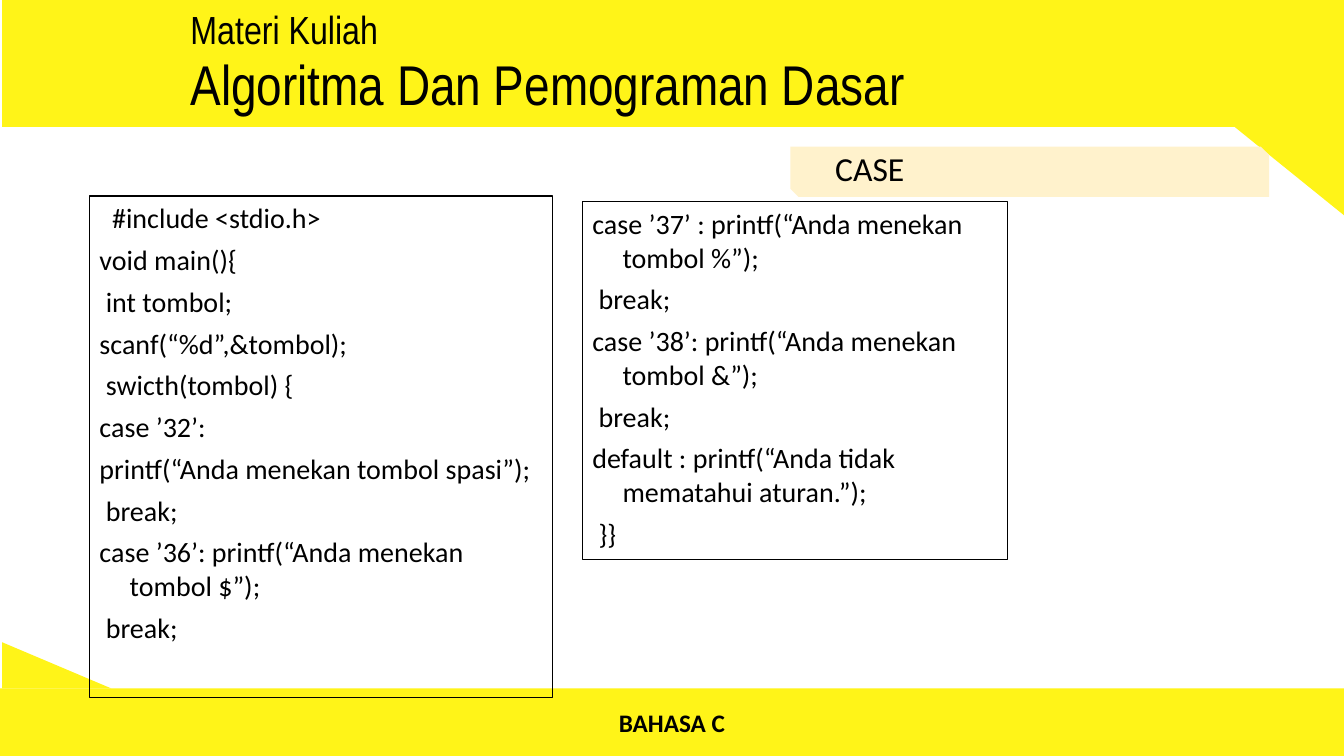
import pptx
import pptx.util
import pptx.dml.color
import pptx.enum.shapes
import pptx.enum.text
from dataclasses import dataclass

Pt = pptx.util.Pt
SHAPE = pptx.enum.shapes.MSO_SHAPE
ALIGN = pptx.enum.text.PP_ALIGN
ANCHOR = pptx.enum.text.MSO_ANCHOR


@dataclass(frozen=True)
class Theme:
    """Colours, fonts and type sizes of the slide."""
    yellow: str = "FFF418"
    cream: str = "FFF2CC"
    ink: str = "000000"
    heading_font: str = "Arial Narrow"
    body_font: str = "Calibri"
    title_size: float = 40
    course_size: float = 28
    topic_size: float = 24
    code_size: float = 20
    footer_size: float = 18


THEME = Theme()
WIDTH, HEIGHT = 960, 540
EDGE = 1.5

FIRST_CODE = [
    "\u00a0 #include <stdio.h> ",
    "void main(){",
    " int tombol; ",
    "scanf(“%d”,&tombol);",
    "\u00a0swicth(tombol) { ",
    "case ’32’:",
    "printf(“Anda menekan tombol spasi”);",
    "\u00a0break; ",
    "case ’36’: printf(“Anda menekan tombol $”);",
    "\u00a0break; ",
]
SECOND_CODE = [
    "case ’37’ : printf(“Anda menekan tombol %”);",
    "\u00a0break; ",
    "case ’38’: printf(“Anda menekan tombol &”);",
    "\u00a0break; ",
    "default : printf(“Anda tidak mematahui aturan.”);",
    "\u00a0}}",
]


def rgb(code):
    """Turn a hex code into a colour."""
    return pptx.dml.color.RGBColor.from_string(code)


def write(holder, lines, size, font=THEME.body_font, bold=False,
          align=ALIGN.LEFT, anchor=ANCHOR.TOP, wrap=True, before=0, hanging=0):
    """Fill a shape with one formatted paragraph per line."""
    frame = holder.text_frame
    frame.auto_size = pptx.enum.text.MSO_AUTO_SIZE.NONE
    frame.word_wrap = wrap
    frame.vertical_anchor = anchor
    frame.margin_left = frame.margin_right = Pt(7.2)
    frame.margin_top = frame.margin_bottom = Pt(3.6)
    for index, line in enumerate(lines):
        paragraph = frame.paragraphs[0] if index == 0 else frame.add_paragraph()
        paragraph.alignment = align
        paragraph.space_before = Pt(before)
        if hanging:
            properties = paragraph._p.get_or_add_pPr()
            properties.set("marL", str(Pt(hanging)))
            properties.set("indent", str(-Pt(hanging)))
        run = paragraph.add_run()
        run.text = line
        run.font.name, run.font.size, run.font.bold = font, Pt(size), bold
        run.font.color.rgb = rgb(THEME.ink)


def place(part, box):
    """Move a part to a box given as left, top, width, height."""
    part.left, part.top, part.width, part.height = map(Pt, box)


def add_panel(slide, kind, box, fill=None, line=None):
    """Add a flat preset shape."""
    panel = slide.shapes.add_shape(kind, *map(Pt, box))
    panel.shadow.inherit = False
    if fill:
        panel.fill.solid()
        panel.fill.fore_color.rgb = rgb(fill)
    else:
        panel.fill.background()
    if line:
        panel.line.color.rgb = rgb(line)
        panel.line.width = Pt(0.75)
    else:
        panel.line.fill.background()
    return panel


def add_wedge(slide, box, rotation=0):
    """Add a yellow right-angled corner."""
    wedge = add_panel(slide, SHAPE.ISOSCELES_TRIANGLE, box, THEME.yellow)
    wedge.adjustments[0] = 0
    wedge.rotation = rotation


def add_header(slide, box):
    """Draw the top band with its corner, course line and title."""
    left, top, width, height = box
    add_panel(slide, SHAPE.RECTANGLE, box, THEME.yellow)
    corner = 78
    add_wedge(slide, (left + width - corner, top + height, corner, 63), 180)

    text_left = left + 127.5
    course = slide.shapes.add_textbox(*map(Pt, (text_left, top, 169, 41)))
    write(course, ["Materi Kuliah"], THEME.course_size,
          font=THEME.heading_font, wrap=False)

    title = slide.shapes.title
    place(title, (text_left, top + 32, 630, 55.5))
    write(title, ["Algoritma Dan Pemograman Dasar"], THEME.title_size,
          font=THEME.heading_font)
    slide.shapes._spTree.append(title._element)


def add_footer(slide, box):
    """Draw the bottom band with its corner and label."""
    left, top, width, height = box
    band = add_panel(slide, SHAPE.RECTANGLE, box, THEME.yellow)
    write(band, ["BAHASA C"], THEME.footer_size, bold=True,
          align=ALIGN.CENTER, anchor=ANCHOR.MIDDLE)
    add_wedge(slide, (left + EDGE, top - 33, 78, 33))


def add_topic(slide, box):
    """Draw the snipped topic tag and its label."""
    left, top, width, height = box
    add_panel(slide, SHAPE.SNIP_2_DIAG_RECTANGLE, box, THEME.cream)
    topic = slide.shapes.add_textbox(*map(Pt, (left + 25, top - 3, 70, height)))
    write(topic, ["CASE "], THEME.topic_size, wrap=False)


def add_code(slide, box, lines):
    """Draw an outlined code listing with hanging indents."""
    listing = add_panel(slide, SHAPE.RECTANGLE, box, line=THEME.ink)
    write(listing, lines, THEME.code_size, before=5.8, hanging=21.6)


def main():
    """Build and save the slide."""
    deck = pptx.Presentation()
    deck.slide_width, deck.slide_height = Pt(WIDTH), Pt(HEIGHT)
    slide = deck.slides.add_slide(deck.slide_layouts[5])
    add_header(slide, (EDGE, 0, WIDTH - EDGE, 90.75))
    add_footer(slide, (0, 491.75, WIDTH, 48.25))
    add_topic(slide, (564.5, 104.75, 342, 36))
    add_code(slide, (64, 140, 330.75, 358.5), FIRST_CODE)
    add_code(slide, (416, 144, 303.75, 255.5), SECOND_CODE)
    deck.save("out.pptx")


main()
